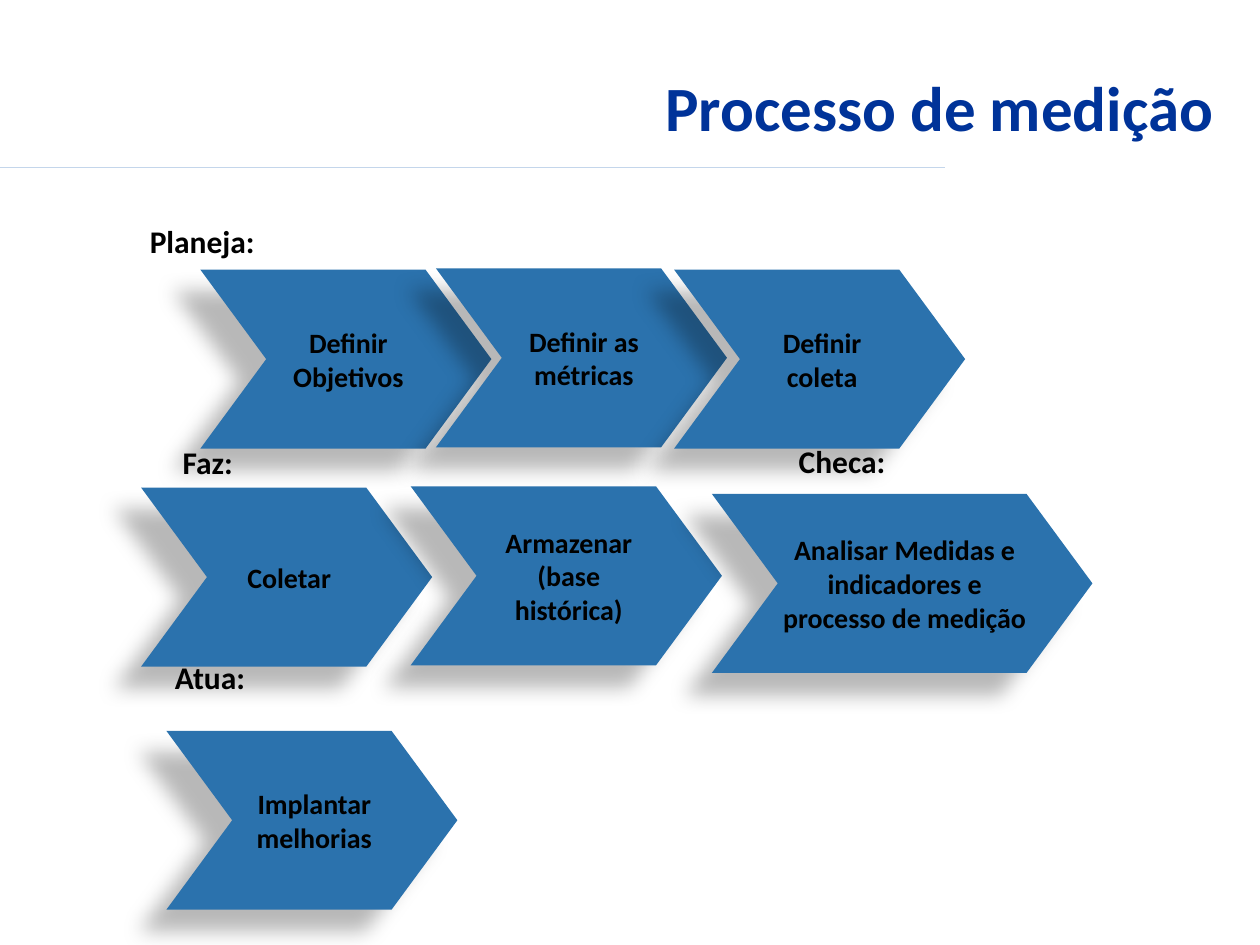
from dataclasses import dataclass

from lxml.etree import SubElement
from pptx import Presentation
from pptx.dml.color import RGBColor
from pptx.enum.shapes import MSO_CONNECTOR, MSO_SHAPE
from pptx.enum.text import MSO_ANCHOR, MSO_AUTO_SIZE, PP_ALIGN
from pptx.oxml.ns import qn
from pptx.util import Inches, Pt

COLORS = {"title": "003399", "step": "2B72AD", "text": "000000",
          "rule": "C4D6EB", "shadow": "000000"}
STEP_HEIGHT = 1.42
NOTCH = 0.368
SHADOW = {"blurRad": Pt(11.8), "dist": Pt(19.7), "dir": 141 * 60000, "rotWithShape": 0}


@dataclass
class Step:
    text: str
    left: float
    top: float
    width: float = 2.31


@dataclass
class Label:
    text: str
    left: float
    top: float
    width: float


PLAN = [
    Step("Definir Objetivos", 1.59, 2.14),
    Step("Definir as métricas", 3.46, 2.13),
    Label("Planeja:", 1.09, 1.71, 1.12),
    Step("Definir\vcoleta", 5.35, 2.14),
]
DO = [
    Step("Coletar", 1.12, 3.87),
    Step("Armazenar (base histórica)", 3.26, 3.86, 2.47),
    Label("Faz:", 1.35, 3.47, 0.68),
]
CHECK_ACT = [
    Step("Analisar Medidas e indicadores e processo de medição", 5.65, 3.92, 3.02),
    Label("Checa:", 6.24, 3.46, 1.01),
    Label("Atua:", 1.29, 5.17, 0.85),
    Step("Implantar melhorias", 1.32, 5.8),
]


def color(name: str) -> RGBColor:
    return RGBColor.from_string(COLORS[name])


def write(frame, text: str, size: int, align=PP_ALIGN.LEFT, ink: str = "text") -> None:
    frame.text = text
    line = frame.paragraphs[0]
    line.alignment = align
    for key, value in {"name": "Calibri", "size": Pt(size), "bold": True}.items():
        setattr(line.font, key, value)
    line.font.color.rgb = color(ink)


def cast_shadow(shape) -> None:
    """Give the shape a soft shadow down and to the left."""
    shape.shadow.inherit = False
    effects = shape._element.spPr.find(qn("a:effectLst"))
    outer = SubElement(effects, qn("a:outerShdw"),
                       {key: str(value) for key, value in SHADOW.items()})
    tint = SubElement(outer, qn("a:srgbClr"), val=COLORS["shadow"])
    SubElement(tint, qn("a:alpha"), val="28000")


def draw_step(shapes, step: Step) -> None:
    shape = shapes.add_shape(MSO_SHAPE.CHEVRON, Inches(step.left), Inches(step.top),
                             Inches(step.width), Inches(STEP_HEIGHT))
    shape.adjustments[0] = NOTCH
    shape.fill.solid()
    shape.fill.fore_color.rgb = color("step")
    shape.line.fill.background()
    cast_shadow(shape)
    frame = shape.text_frame
    layout = {"word_wrap": True, "vertical_anchor": MSO_ANCHOR.MIDDLE,
              "margin_left": Inches(0.04), "margin_top": 0,
              "margin_right": 0, "margin_bottom": 0}
    for key, value in layout.items():
        setattr(frame, key, value)
    write(frame, step.text, 16, PP_ALIGN.CENTER)


def draw_label(shapes, label: Label) -> None:
    box = shapes.add_textbox(Inches(label.left), Inches(label.top),
                             Inches(label.width), Inches(0.4))
    box.text_frame.word_wrap = False
    box.text_frame.auto_size = MSO_AUTO_SIZE.SHAPE_TO_FIT_TEXT
    write(box.text_frame, label.text, 18)


def draw_items(shapes, items: list) -> None:
    for item in items:
        if isinstance(item, Step):
            draw_step(shapes, item)
        else:
            draw_label(shapes, item)


def draw_header(shapes) -> None:
    rule = shapes.add_connector(MSO_CONNECTOR.STRAIGHT, 0, Inches(1.33),
                                Inches(7.5), Inches(1.33))
    rule.line.color.rgb = color("rule")
    rule.line.width = Pt(0.75)
    SubElement(rule._element.spPr, qn("a:effectLst"))
    title = shapes.add_textbox(Inches(0.75), Inches(0.34), Inches(8.98), Inches(1))
    title.text_frame.word_wrap = True
    title.text_frame.vertical_anchor = MSO_ANCHOR.MIDDLE
    write(title.text_frame, "Processo de medição", 36, PP_ALIGN.RIGHT, "title")


def main() -> None:
    deck = Presentation()
    deck.slide_width, deck.slide_height = Inches(10), Inches(7.5)
    shapes = deck.slides.add_slide(deck.slide_layouts[6]).shapes
    draw_header(shapes)
    for phase in (PLAN, DO):
        draw_items(shapes.add_group_shape().shapes, phase)
    draw_items(shapes, CHECK_ACT)
    deck.save("out.pptx")


if __name__ == "__main__":
    main()
